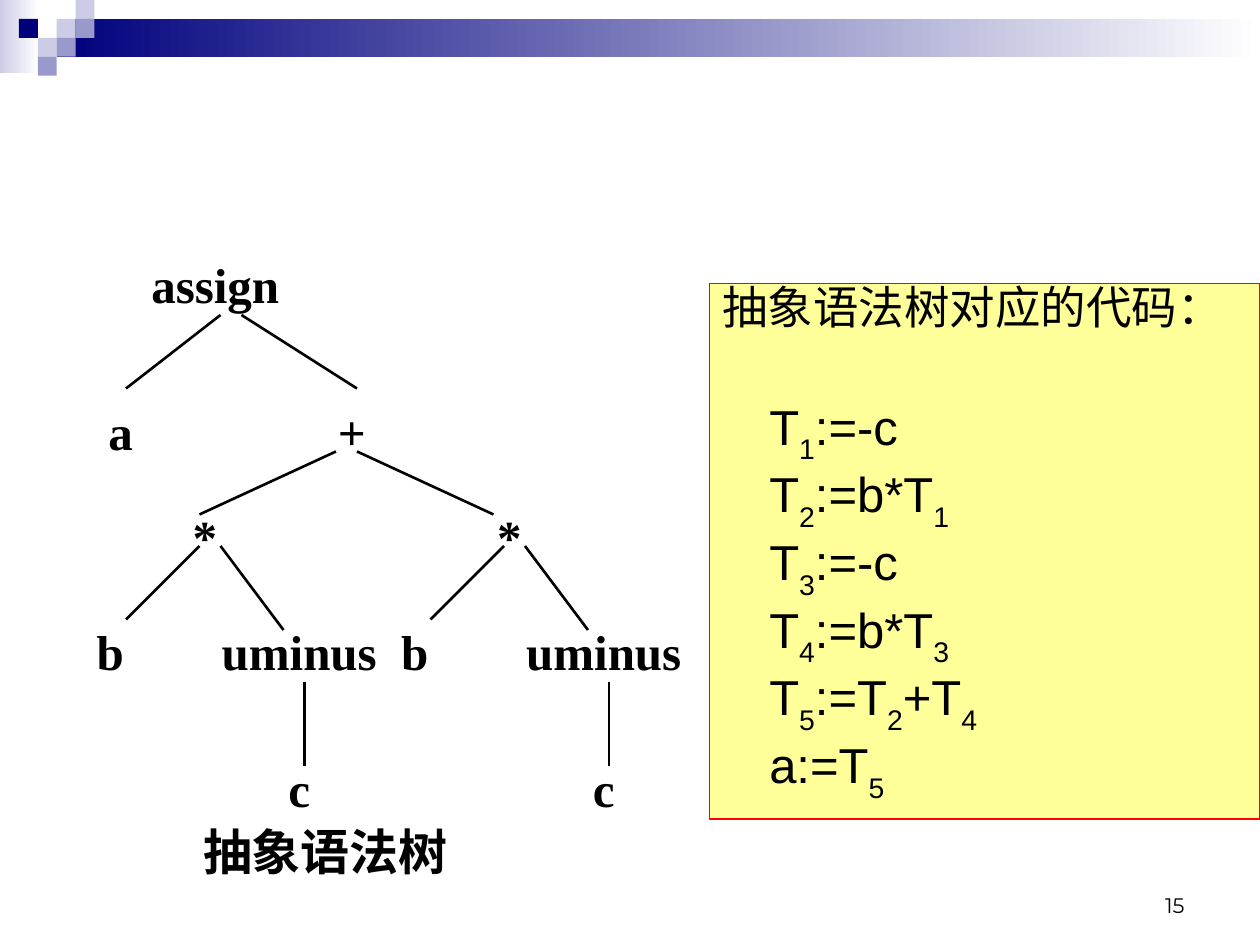
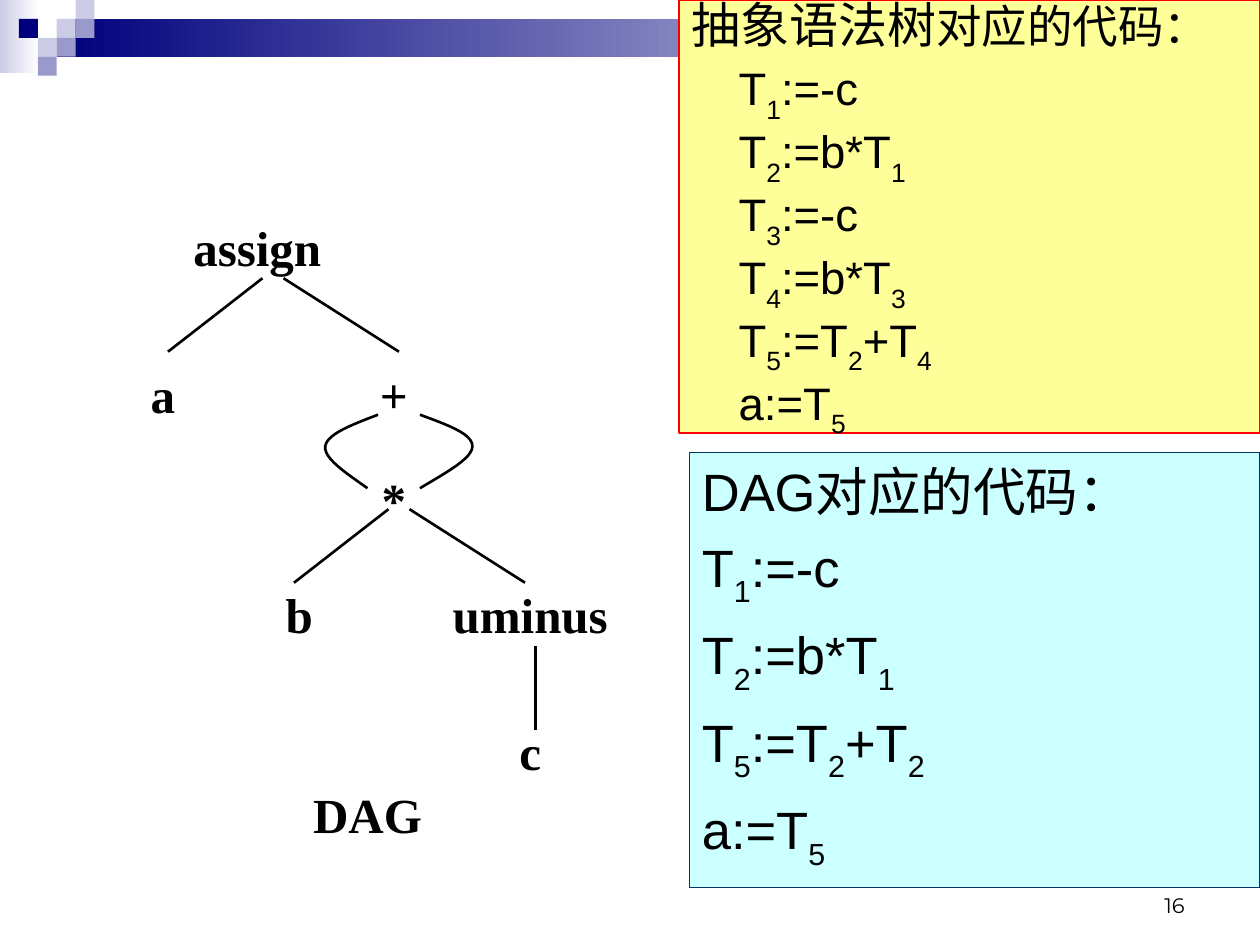
from dataclasses import dataclass

from lxml import etree
from pptx import Presentation
from pptx import util as u
from pptx.dml import color
from pptx.enum import shapes, text
from pptx.oxml import ns

Pt = u.Pt


@dataclass(frozen=True)
class Theme:
    navy: str = "00007D"
    lavender: str = "9999CC"
    mist: str = "CCCCE6"
    white: str = "FFFFFF"
    ink: str = "000000"
    yellow: str = "FFFF99"
    red: str = "FF0000"
    cyan: str = "CCFFFF"
    teal: str = "003366"
    code_font: str = "Arial"
    node_font: str = "Times New Roman"
    number_font: str = "Montserrat"
    node_size: int = 28
    number_size: int = 12
    edge_width: float = 1.5
    frame_width: float = 0.75


THEME = Theme()

BANDS = [((0, 0, 22.3, 41.8), THEME.mist), ((32.4, 10.8, 687.6, 21.6), THEME.navy)]
SQUARE = 10.8
SQUARES = [
    (3, 1, THEME.mist), (4, 0, THEME.mist), (4, 1, THEME.lavender), (2, 2, THEME.mist),
    (1, 1, THEME.navy), (3, 2, THEME.lavender), (2, 3, THEME.lavender),
]

TREE_CODE = ["T_1:=-c", "T_2:=b*T_1", "T_3:=-c", "T_4:=b*T_3", "T_5:=T_2+T_4", "a:=T_5"]
DAG_CODE = ["T_1:=-c", "T_2:=b*T_1", "T_5:=T_2+T_2", "a:=T_5"]

NODE_WIDTH, NODE_HEIGHT = 78, 48
WIDE_NODES = {"uminus": 100, "抽象语法树": 160}
ROOT_NODES = [("assign", 123, 162), ("a", 69, 246), ("+", 201, 246)]
ROOT_EDGES = [((126, 180), (72, 222)), ((138, 180), (204, 222))]
PLUS_EDGES = [((192, 258), (114, 294)), ((204, 258), (282, 294))]
PLUS_CURVES = [
    [(192, 258), (177.6, 263.6), (163.2, 268.7), (161.8, 276), (161, 283), (173.3, 291), (186, 300)],
    [(216, 258), (231, 263.6), (246, 268.7), (246, 276), (246, 283), (231, 291), (216, 300)],
]
STAR_TOP = 306

SLIDES = [
    {
        "number": "15",
        "shift": (0, 0),
        "caption": "抽象语法树",
        "products": [
            {"x": 117, "minus": 54, "ends": [(-45, 48), (45, 54)]},
            {"x": 291, "minus": 54, "ends": [(-45, 48), (45, 54)]},
        ],
        "edges": PLUS_EDGES,
        "curves": [],
        "panels": [
            {"box": (405.5, 162, 314.5, 306), "fill": THEME.yellow, "line": THEME.red,
             "heading": [("抽象语法树对应的代码：", 26)], "code": TREE_CODE, "size": 28,
             "indent": 27, "spacing": 0.8, "before": 7, "first_before": 38.5},
        ],
    },
    {
        "number": "16",
        "shift": (24, -21),
        "caption": "DAG",
        "products": [{"x": 201, "minus": 78, "ends": [(-57, 48), (75, 48)]}],
        "edges": [],
        "curves": PLUS_CURVES,
        "panels": [
            {"box": (394, 258.5, 326, 248.5), "fill": THEME.cyan, "line": THEME.teal,
             "heading": [("DAG对应的代码：", 30)], "code": DAG_CODE, "size": 30,
             "indent": 0, "spacing": 1.0, "before": 7.5, "first_before": 7.5},
            {"box": (388, 0, 332, 247.5), "fill": THEME.yellow, "line": THEME.red,
             "heading": [("抽象语法树", 28), ("对应的代码：", 26)], "code": TREE_CODE, "size": 26,
             "indent": 27, "spacing": 0.8, "before": 6.5, "first_before": 6.5},
        ],
    },
]


def rgb(value):
    return color.RGBColor.from_string(value)


def apply(target, values):
    for name, value in values.items():
        setattr(target, name, value)


def add_run(paragraph, content, font, size, bold=False, subscript=False):
    run = paragraph.add_run()
    run.text = content
    apply(run.font, {"name": font, "size": Pt(size), "bold": bold})
    run.font.color.rgb = rgb(THEME.ink)
    if subscript:
        run.font._element.set("baseline", "-30000")


def add_rectangle(slide, box, fill):
    shape = slide.shapes.add_shape(shapes.MSO_SHAPE.RECTANGLE, *map(Pt, box))
    shape.shadow.inherit = False
    shape.fill.solid()
    shape.fill.fore_color.rgb = rgb(fill)
    shape.line.fill.background()
    return shape


def add_header(slide):
    for box, start in BANDS:
        fill = add_rectangle(slide, box, start).fill
        fill.gradient()
        fill.gradient_angle = 0
        for stop, shade in zip(fill.gradient_stops, (start, THEME.white)):
            stop.color.rgb = rgb(shade)
    for column, row, shade in SQUARES:
        add_rectangle(slide, (column * SQUARE, row * SQUARE, SQUARE, SQUARE), shade)


def add_label(slide, content, box, font, size, bold, frame_format, alignment):
    frame = slide.shapes.add_textbox(*map(Pt, box)).text_frame
    apply(frame, frame_format)
    paragraph = frame.paragraphs[0]
    paragraph.alignment = alignment
    add_run(paragraph, content, font, size, bold)


def add_number(slide, number):
    add_label(slide, number, (516, 492, 168, 36), THEME.number_font, THEME.number_size, False,
              {"word_wrap": True, "vertical_anchor": text.MSO_ANCHOR.BOTTOM}, text.PP_ALIGN.RIGHT)


def add_node(slide, content, x, y):
    width = WIDE_NODES.get(content, NODE_WIDTH)
    box = (x - width / 2, y - NODE_HEIGHT / 2, width, NODE_HEIGHT)
    frame_format = {"word_wrap": False, "vertical_anchor": text.MSO_ANCHOR.MIDDLE,
                    "margin_left": 0, "margin_right": 0}
    add_label(slide, content, box, THEME.node_font, THEME.node_size, True,
              frame_format, text.PP_ALIGN.CENTER)


def style_edge(shape):
    shape.line.color.rgb = rgb(THEME.ink)
    shape.line.width = Pt(THEME.edge_width)


def add_edge(slide, start, end):
    connector = slide.shapes.add_connector(shapes.MSO_CONNECTOR.STRAIGHT, *map(Pt, (*start, *end)))
    style_edge(connector)
    etree.SubElement(connector._element.spPr, ns.qn("a:effectLst"))


def bezier(points, t):
    weights = ((1 - t) ** 3, 3 * t * (1 - t) ** 2, 3 * t * t * (1 - t), t ** 3)
    return tuple(Pt(sum(w * p[axis] for w, p in zip(weights, points))) for axis in (0, 1))


def add_curve(slide, points, steps=12):
    trace = [bezier(points[first:first + 4], step / steps)
             for first in (0, 3) for step in range(1, steps + 1)]
    builder = slide.shapes.build_freeform(*map(Pt, points[0]))
    builder.add_line_segments(trace, close=False)
    shape = builder.convert_to_shape()
    shape.shadow.inherit = False
    shape.fill.background()
    style_edge(shape)


def product_parts(x, minus, ends):
    nodes = [("*", 0, 0), ("b", -54, 66), ("uminus", minus, 66), ("c", minus, 144)]
    edges = [((-3, 6), ends[0]), ((9, 6), ends[1]), ((minus + 3, 84), (minus + 3, 132))]
    return ([(name, x + dx, STAR_TOP + dy) for name, dx, dy in nodes],
            [tuple((x + dx, STAR_TOP + dy) for dx, dy in edge) for edge in edges])


def add_tree(slide, content):
    def shift(point):
        return tuple(a + b for a, b in zip(point, content["shift"]))

    nodes = ROOT_NODES + [(content["caption"], 186, 486)]
    edges = ROOT_EDGES + content["edges"]
    for product in content["products"]:
        product_nodes, product_edges = product_parts(**product)
        nodes = nodes + product_nodes
        edges = edges + product_edges
    for name, *center in nodes:
        add_node(slide, name, *shift(center))
    for edge in edges:
        add_edge(slide, *map(shift, edge))
    for curve in content["curves"]:
        add_curve(slide, [shift(point) for point in curve])


def add_code_line(paragraph, line, size):
    first, *rest = line.split("_")
    add_run(paragraph, first, THEME.code_font, size)
    for piece in rest:
        add_run(paragraph, piece[0], THEME.code_font, size, subscript=True)
        if piece[1:]:
            add_run(paragraph, piece[1:], THEME.code_font, size)


def add_panel(slide, panel):
    shape = add_rectangle(slide, panel["box"], panel["fill"])
    shape.line.color.rgb = rgb(panel["line"])
    shape.line.width = Pt(THEME.frame_width)
    frame = shape.text_frame
    apply(frame, {"word_wrap": True, "vertical_anchor": text.MSO_ANCHOR.TOP})
    layout = {"alignment": text.PP_ALIGN.JUSTIFY, "line_spacing": panel["spacing"]}
    heading = frame.paragraphs[0]
    apply(heading, layout)
    for content, size in panel["heading"]:
        add_run(heading, content, THEME.code_font, size)
    for index, line in enumerate(panel["code"]):
        paragraph = frame.add_paragraph()
        before = panel["before"] if index else panel["first_before"]
        apply(paragraph, {**layout, "space_before": Pt(before)})
        paragraph._p.get_or_add_pPr().set("marL", str(Pt(panel["indent"])))
        add_code_line(paragraph, line, panel["size"])


def main():
    presentation = Presentation()
    apply(presentation, {"slide_width": Pt(720), "slide_height": Pt(540)})
    for content in SLIDES:
        slide = presentation.slides.add_slide(presentation.slide_layouts[6])
        add_header(slide)
        add_number(slide, content["number"])
        add_tree(slide, content)
        for panel in content["panels"]:
            add_panel(slide, panel)
    presentation.save("out.pptx")


if __name__ == "__main__":
    main()
